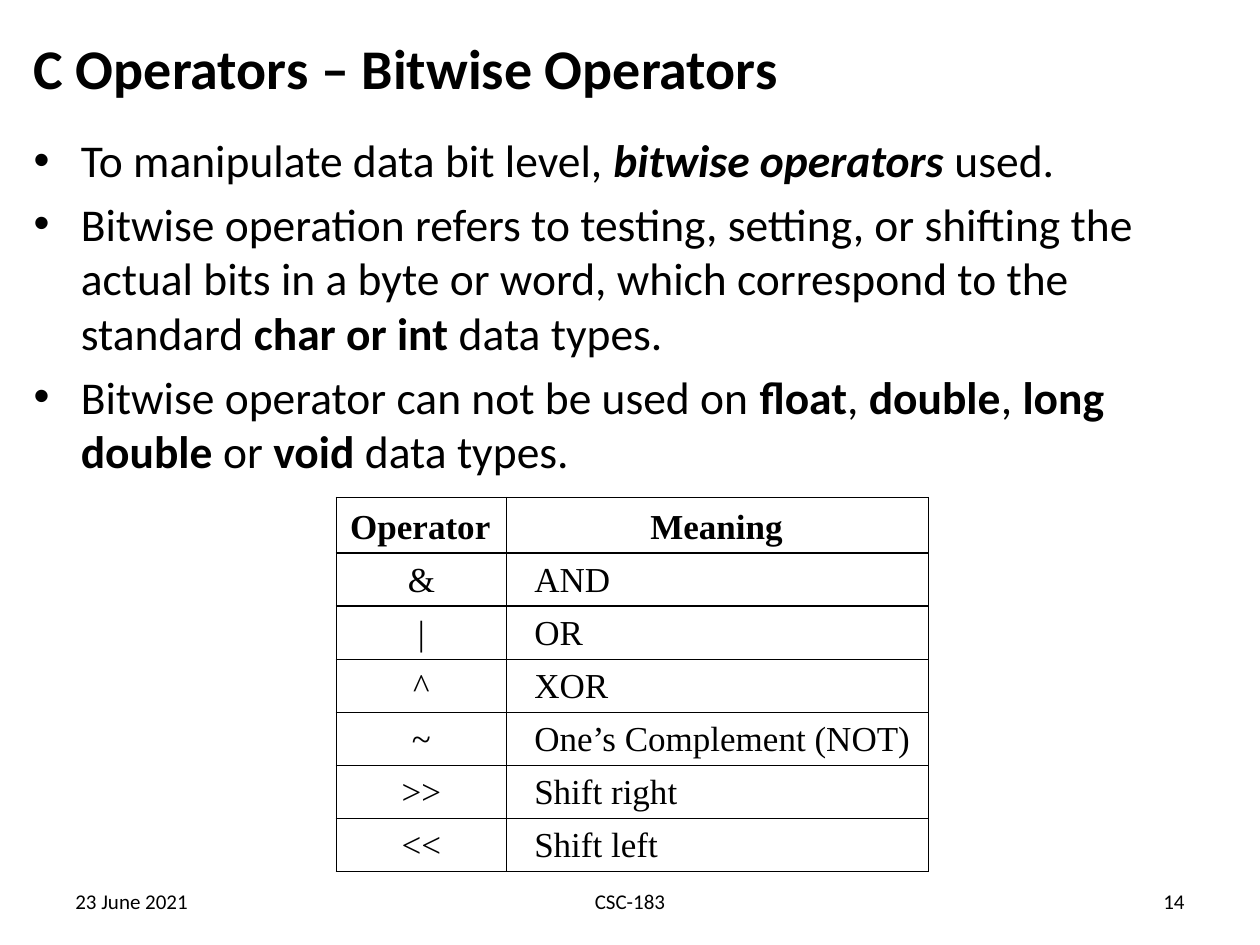
from lxml import etree
from pptx import Presentation
from pptx.dml.color import RGBColor
from pptx.enum.text import MSO_ANCHOR, PP_ALIGN
from pptx.oxml.ns import qn
from pptx.util import Cm, Pt

BLACK = RGBColor(0x00, 0x00, 0x00)
LEFT, CENTER, RIGHT = PP_ALIGN.LEFT, PP_ALIGN.CENTER, PP_ALIGN.RIGHT
TOP, MIDDLE, BOTTOM = MSO_ANCHOR.TOP, MSO_ANCHOR.MIDDLE, MSO_ANCHOR.BOTTOM

SANS, SERIF = "Calibri", "Times New Roman"
BOLD = {"bold": True}
BOLD_ITALIC = {"bold": True, "italic": True}

BULLETS = [
    [("To manipulate data bit level, ", {}), ("bitwise operators", BOLD_ITALIC), (" used.", {})],
    [("Bitwise operation refers to testing, setting, or shifting the actual bits in a byte "
      "or word, which correspond to the standard ", {}),
     ("char or int ", BOLD), ("data types.", {})],
    [("Bitwise operator can not be used on ", {}), ("float", BOLD), (", ", {}),
     ("double", BOLD), (", ", {}), ("long double", BOLD), (" or ", {}),
     ("void", BOLD), (" data types.", {})],
]

OPERATORS = [
    ("&", "AND"),
    ("|", "OR"),
    ("^", "XOR"),
    ("~", "One’s Complement (NOT)"),
    (">>", "Shift right"),
    ("<<", "Shift left"),
]


class SlideBuilder:
    """Holds the text style and the current page."""

    def __init__(self, page):
        self.page = page

    def add_spans(self, para, spans, size, font, align=LEFT, **para_format):
        values = {"alignment": align, **para_format}
        for name, value in values.items():
            setattr(para, name, value)
        for text, extra in spans:
            span = para.add_run()
            span.text = text
            span.font.color.rgb = BLACK
            for name, value in {"name": font, "size": Pt(size), **extra}.items():
                setattr(span.font, name, value)

    def indent(self, para, margin, first=0):
        properties = para._p.get_or_add_pPr()
        properties.set("marL", str(Cm(margin)))
        properties.set("indent", str(Cm(first)))
        return properties

    def text_box(self, left, top, width, height, anchor=MIDDLE):
        box = self.page.shapes.add_textbox(Cm(left), Cm(top), Cm(width), Cm(height))
        box.text_frame.word_wrap = True
        box.text_frame.vertical_anchor = anchor
        return box.text_frame

    def line(self, place, text, size, align=LEFT, **extra):
        frame = self.text_box(*place)
        self.add_spans(frame.paragraphs[0], [(text, extra)], size, SANS, align)

    def bullet_list(self, place, items, size):
        frame = self.text_box(*place, anchor=TOP)
        for index, spans in enumerate(items):
            para = frame.add_paragraph() if index else frame.paragraphs[0]
            self.add_spans(para, spans, size, SANS, space_before=Pt(size * 0.2))
            properties = self.indent(para, 0.95, -0.95)
            etree.SubElement(properties, qn("a:buFont")).set("typeface", "Arial")
            etree.SubElement(properties, qn("a:buChar")).set("char", "•")

    def cell_borders(self, cell, drawn):
        properties = cell._tc.get_or_add_tcPr()
        for side in "LRTB":
            border = etree.SubElement(properties, qn(f"a:ln{side}"), w=str(Pt(1)))
            if side in drawn:
                fill = etree.SubElement(border, qn("a:solidFill"))
                etree.SubElement(fill, qn("a:srgbClr")).set("val", str(BLACK))
            else:
                etree.SubElement(border, qn("a:noFill"))

    def table(self, left, top, widths, heights):
        shape = self.page.shapes.add_table(
            len(heights), len(widths), Cm(left), Cm(top), Cm(sum(widths)), Cm(sum(heights)))
        table = shape.table
        table.first_row = table.horz_banding = False
        for column, width in zip(table.columns, widths):
            column.width = Cm(width)
        for index, (row, height) in enumerate(zip(table.rows, heights)):
            row.height = Cm(height)
            spacer = index % 2 == 1
            for cell in row.cells:
                self.cell_borders(cell, "LRB" if spacer else "LRT")
                cell.fill.background()
                cell.vertical_anchor = BOTTOM
                for side in ("left", "right", "top", "bottom"):
                    setattr(cell, f"margin_{side}", 0)
                if spacer:
                    end = etree.SubElement(cell.text_frame.paragraphs[0]._p, qn("a:endParaRPr"))
                    end.set("sz", "200")
        return table

    def cell_text(self, cell, text, margin=0.0, bold=False, align=LEFT):
        para = cell.text_frame.paragraphs[0]
        self.add_spans(para, [(text, {"bold": bold})], 20, SERIF, align)
        if margin:
            self.indent(para, margin)


def main():
    deck = Presentation()
    deck.slide_width, deck.slide_height = Cm(25.4), Cm(19.05)
    builder = SlideBuilder(deck.slides.add_slide(deck.slide_layouts[6]))

    # Title and bullets
    builder.line((0.43, 0.56, 24.56, 1.57), "C Operators – Bitwise Operators", 32, bold=True)
    builder.bullet_list((0.43, 2.54, 24.56, 7.42), BULLETS, 26)

    # Operator table: each text row is followed by a thin spacer row
    heights = [0.99, 0.13] + [0.94, 0.13] * len(OPERATORS)
    table = builder.table(6.78, 10.03, [3.43, 8.51], heights)
    for column, (text, margin) in enumerate([("Operator", 0.28), ("Meaning", 2.9)]):
        builder.cell_text(table.cell(0, column), text, margin, bold=True)
    for index, (symbol, meaning) in enumerate(OPERATORS, start=1):
        builder.cell_text(table.cell(2 * index, 0), symbol, align=CENTER)
        builder.cell_text(table.cell(2 * index, 1), meaning, 0.56)

    # Footer
    for left, width, text, align in [
        (1.27, 5.93, "23 June 2021", LEFT),
        (8.68, 8.04, "CSC-183", CENTER),
        (18.2, 5.93, "14", RIGHT),
    ]:
        builder.line((left, 17.65, width, 1.02), text, 12, align)

    deck.save("out.pptx")


if __name__ == "__main__":
    main()
